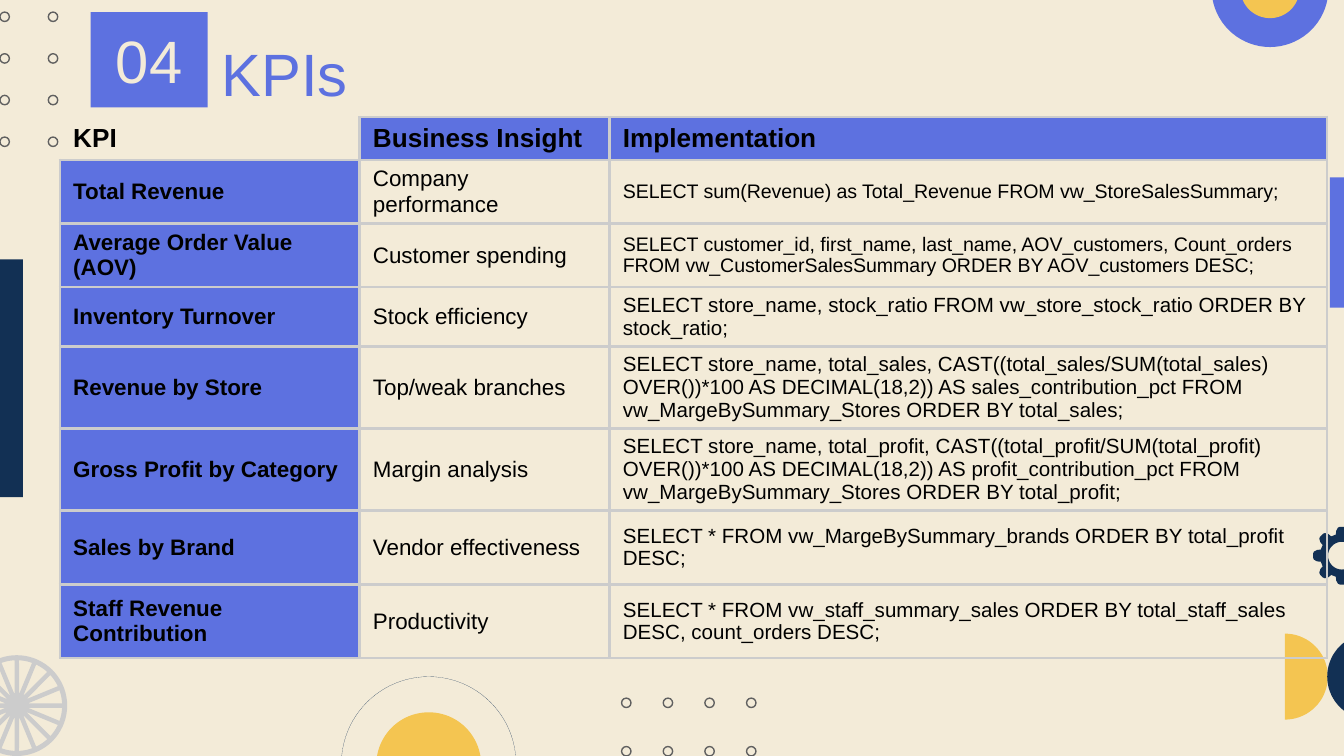
from dataclasses import dataclass
from math import cos, radians, sin

from lxml import etree
from pptx import Presentation
from pptx import util as u
from pptx.dml.color import RGBColor
from pptx.enum import shapes, text
from pptx.oxml.ns import qn

CREAM = RGBColor(0xF3, 0xEB, 0xD8)
VIOLET = RGBColor(0x5D, 0x71, 0xE0)
YELLOW = RGBColor(0xF4, 0xC5, 0x51)
NAVY = RGBColor(0x12, 0x30, 0x54)
SILVER = RGBColor(0xCC, 0xCC, 0xCC)
GRAY = RGBColor(0x60, 0x60, 0x60)
BLACK = RGBColor(0, 0, 0)

SLIDE_WIDTH = u.Inches(10)
SLIDE_HEIGHT = SLIDE_WIDTH * 9 // 16
GRID_COLUMNS = 1000
FONT = "Arial"
TABLE_COLUMNS = (223, 186, 534)
TABLE_ROWS = (31, 40, 39, 36, 60, 55, 55, 55)
HEADINGS = ("KPI", "Business Insight", "Implementation")

Point = tuple[float, float]


@dataclass(frozen=True)
class Box:
    column: float
    row: float
    columns: float
    rows: float

    def emu(self) -> tuple[int, ...]:
        return tuple(grid(n) for n in (self.column, self.row, self.columns, self.rows))


@dataclass(frozen=True)
class HalfDisc:
    center: Point
    radius: float
    start: float
    color: RGBColor


@dataclass(frozen=True)
class DotGrid:
    column: float
    row: float
    step_x: float
    step_y: float
    across: int
    down: int


@dataclass(frozen=True)
class Kpi:
    name: str
    insight: str
    query: str
    query_size: float = 11


HALF_DISCS = (
    HalfDisc((945, -8.5), 43.5, 0, VIOLET),
    HalfDisc((945, -8.5), 22, 0, YELLOW),
    HalfDisc((956, 503.5), 32, -90, YELLOW),
    HalfDisc((1019.5, 503.5), 32, 90, NAVY),
)
DOT_GRIDS = (DotGrid(0, 9, 36, 31, 2, 4), DotGrid(462.5, 519.5, 31, 36, 4, 2))


def share_query(measure: str, share: str) -> str:
    return (
        f"SELECT store_name, {measure}, CAST(({measure}/SUM({measure}) OVER())*100 "
        f"AS DECIMAL(18,2)) AS {share}_contribution_pct FROM vw_MargeBySummary_Stores "
        f"ORDER BY {measure};"
    )


KPIS = (
    Kpi("Total Revenue", "Company performance",
        "SELECT sum(Revenue) as Total_Revenue FROM vw_StoreSalesSummary;", 10.5),
    Kpi("Average Order Value (AOV)", "Customer spending",
        "SELECT customer_id, first_name, last_name, AOV_customers, Count_orders "
        "FROM vw_CustomerSalesSummary ORDER BY AOV_customers DESC;", 10.5),
    Kpi("Inventory Turnover", "Stock efficiency",
        "SELECT store_name, stock_ratio FROM vw_store_stock_ratio ORDER BY stock_ratio;"),
    Kpi("Revenue by Store", "Top/weak branches", share_query("total_sales", "sales")),
    Kpi("Gross Profit by Category", "Margin analysis", share_query("total_profit", "profit")),
    Kpi("Sales by Brand", "Vendor effectiveness",
        "SELECT * FROM vw_MargeBySummary_brands ORDER BY total_profit DESC;"),
    Kpi("Staff Revenue Contribution", "Productivity",
        "SELECT * FROM vw_staff_summary_sales ORDER BY total_staff_sales DESC, "
        "count_orders DESC;"),
)


def grid(count: float) -> int:
    return round(count * SLIDE_WIDTH / GRID_COLUMNS)


def write(frame, content: str, *, size: float, color: RGBColor = BLACK,
          bold: bool = False, align=text.PP_ALIGN.LEFT) -> None:
    paragraph = frame.paragraphs[0]
    paragraph.alignment = align
    run = paragraph.add_run()
    run.text = content
    run.font.name, run.font.size, run.font.bold = FONT, u.Pt(size), bold
    run.font.color.rgb = color


def paint(shape, fill: RGBColor | None = None, line: RGBColor | None = None,
          width: float = 0.75) -> None:
    shape.shadow.inherit = False
    if fill is None:
        shape.fill.background()
    else:
        shape.fill.solid()
        shape.fill.fore_color.rgb = fill
    if line is None:
        shape.line.fill.background()
    else:
        shape.line.color.rgb = line
        shape.line.width = u.Pt(width)


def add_preset(slide, kind, box: Box, **style):
    shape = slide.shapes.add_shape(kind, *box.emu())
    paint(shape, **style)
    return shape


def arc(center: Point, radius: float, start: float, sweep: float, steps: int = 36) -> list[Point]:
    angles = [radians(start + sweep * step / steps) for step in range(steps + 1)]
    return [(center[0] + radius * cos(a), center[1] + radius * sin(a)) for a in angles]


def add_outline(slide, contours: list[list[Point]], color: RGBColor) -> None:
    scaled = [[(grid(x), grid(y)) for x, y in contour] for contour in contours]
    builder = slide.shapes.build_freeform(*scaled[0][0])
    for index, contour in enumerate(scaled):
        if index:
            builder.move_to(*contour[0])
        builder.add_line_segments(contour[1:], close=True)
    paint(builder.convert_to_shape(), fill=color)


def add_wheel(slide, center: Point, radius: float, spokes: int = 16) -> None:
    step, inner, hub = 360 / spokes, radius * 0.9, radius * 0.23
    gap = 2.8
    sectors = [
        arc(center, inner, n * step + gap, step - 2 * gap, 6) + arc(center, hub, (n + 0.5) * step, 0, 1)
        for n in range(spokes)
    ]
    add_outline(slide, [arc(center, radius, 0, 360, 72)] + sectors, SILVER)


def add_gear(slide, center: Point, radius: float, teeth: int = 8) -> None:
    profile = ((-16, 0.76), (-13, 0.88), (-8, 0.98), (-4, 1), (4, 1), (8, 0.98), (13, 0.88), (16, 0.76))
    rim = [
        arc(center, radius * share, tooth * 360 / teeth + offset, 0, 1)[0]
        for tooth in range(teeth) for offset, share in profile
    ]
    add_outline(slide, [rim, arc(center, radius * 0.48, 0, 360)], NAVY)


def add_decoration(slide) -> None:
    for disc in HALF_DISCS:
        add_outline(slide, [arc(disc.center, disc.radius, disc.start, 180)], disc.color)
    oval, rectangle = shapes.MSO_SHAPE.OVAL, shapes.MSO_SHAPE.RECTANGLE
    add_preset(slide, oval, Box(280, 530, 78, 78), fill=YELLOW)
    add_preset(slide, oval, Box(254, 503.5, 130, 130), line=NAVY, width=0.05)
    for dots in DOT_GRIDS:
        for i in range(dots.across * dots.down):
            row, column = divmod(i, dots.across)
            box = Box(dots.column + column * dots.step_x, dots.row + row * dots.step_y, 7, 7)
            add_preset(slide, oval, box, line=GRAY)
    add_preset(slide, rectangle, Box(-12, 193, 29, 177), fill=NAVY)
    add_preset(slide, rectangle, Box(989.5, 132, 45, 97), fill=VIOLET)
    add_wheel(slide, (12.5, 525), 37.5)
    add_gear(slide, (998.5, 413.5), 21.5)


def set_borders(cell, visible: str) -> None:
    properties = cell._tc.get_or_add_tcPr()
    for side in "LRTB":
        line = etree.SubElement(properties, qn(f"a:ln{side}"), w=str(u.Pt(1.5)))
        if side in visible:
            fill = etree.SubElement(line, qn("a:solidFill"))
            etree.SubElement(fill, qn("a:srgbClr"), val=str(SILVER))
        else:
            etree.SubElement(line, qn("a:noFill"))


def add_kpi_table(slide) -> None:
    box = Box(44.5, 87, sum(TABLE_COLUMNS), sum(TABLE_ROWS))
    table = slide.shapes.add_table(len(TABLE_ROWS), len(TABLE_COLUMNS), *box.emu()).table
    table.first_row = table.horz_banding = False
    for column, width in zip(table.columns, TABLE_COLUMNS):
        column.width = grid(width)
    for row, height in zip(table.rows, TABLE_ROWS):
        row.height = grid(height)
    lines = [[(heading, 14) for heading in HEADINGS]]
    lines += [[(k.name, 12), (k.insight, 12), (k.query, k.query_size)] for k in KPIS]
    for r, line in enumerate(lines):
        for c, (content, size) in enumerate(line):
            cell = table.cell(r, c)
            cell.vertical_anchor = text.MSO_ANCHOR.MIDDLE
            set_borders(cell, "RB" if r == c == 0 else "LRTB")
            if (r == 0) != (c == 0):
                cell.fill.solid()
                cell.fill.fore_color.rgb = VIOLET
            else:
                cell.fill.background()
            write(cell.text_frame, content, size=size, bold=r == 0 or c == 0)


def add_heading(slide) -> None:
    title = slide.shapes.title
    title.left, title.top, title.width, title.height = Box(155, 17, 767, 63).emu()
    frame = title.text_frame
    frame.word_wrap, frame.auto_size = True, text.MSO_AUTO_SIZE.NONE
    frame.vertical_anchor = text.MSO_ANCHOR.TOP
    frame.margin_left = frame.margin_right = frame.margin_top = frame.margin_bottom = grid(10)
    write(frame, "KPIs", size=32, color=VIOLET)
    number = add_preset(slide, shapes.MSO_SHAPE.RECTANGLE, Box(67.5, 9, 87, 71), fill=VIOLET)
    number.text_frame.vertical_anchor = text.MSO_ANCHOR.MIDDLE
    write(number.text_frame, "04", size=32, color=CREAM, align=text.PP_ALIGN.CENTER)


def main() -> None:
    presentation = Presentation()
    presentation.slide_width, presentation.slide_height = SLIDE_WIDTH, SLIDE_HEIGHT
    slide = presentation.slides.add_slide(presentation.slide_layouts[5])
    slide.background.fill.solid()
    slide.background.fill.fore_color.rgb = CREAM
    add_decoration(slide)
    add_kpi_table(slide)
    add_heading(slide)
    presentation.save("out.pptx")


if __name__ == "__main__":
    main()
